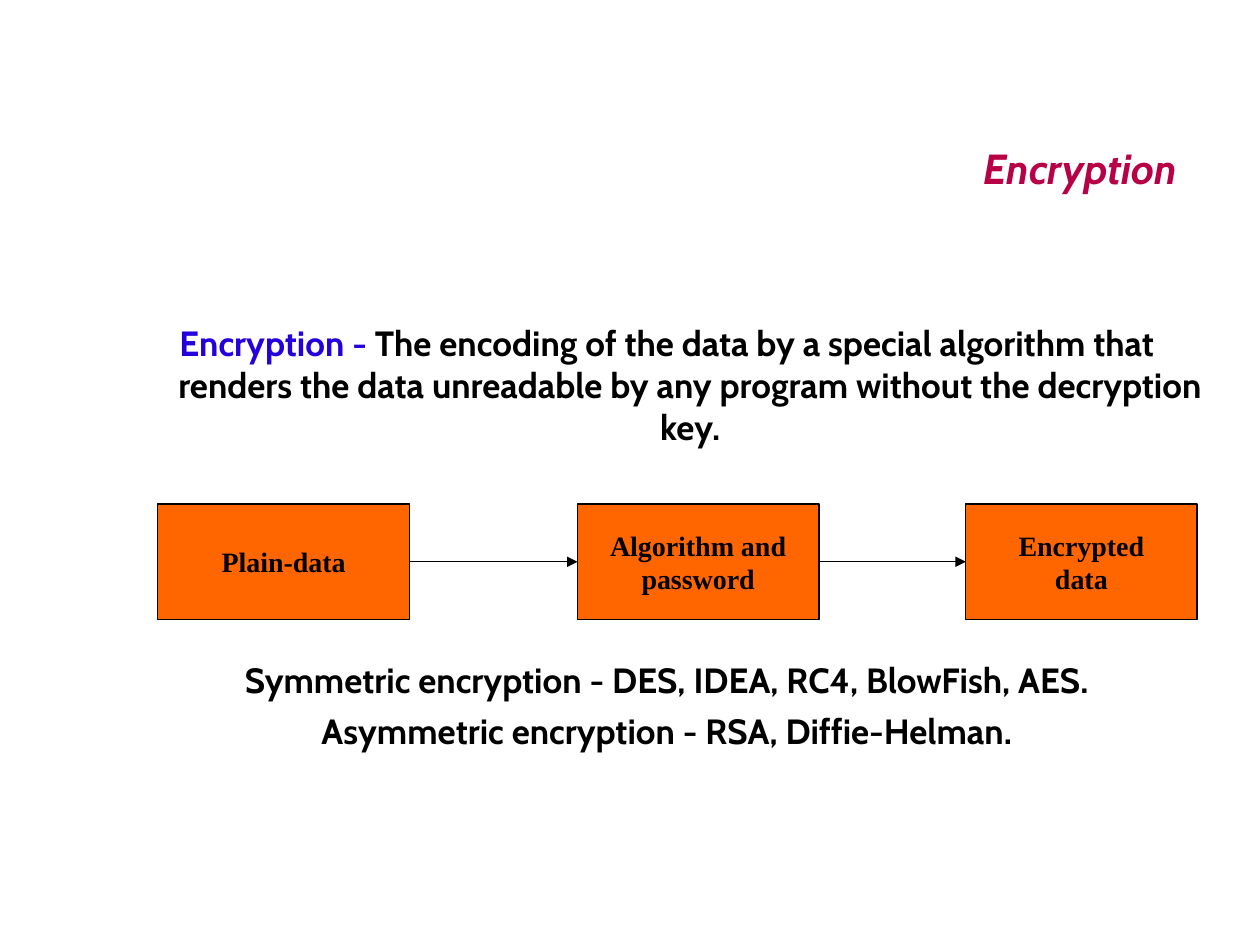
from pptx import Presentation
from pptx.dml.color import RGBColor
from pptx.enum.shapes import MSO_CONNECTOR as Connector, MSO_SHAPE as Shape
from pptx.enum.text import MSO_ANCHOR as Anchor, PP_ALIGN as Align
from pptx.oxml.ns import qn
from pptx.util import Cm, Pt
from lxml.etree import SubElement

BLACK = "000000"
BLUE = "2300DC"
CRIMSON = "B80047"
ORANGE = "FF6600"
WHITE = "FFFFFF"
HEAD_FONT = "Cabin"
STEP_FONT = "Times New Roman"
HANGING = Cm(0.94)
RIGHT_SIDE, LEFT_SIDE = 3, 1


def color(hex_code):
    return RGBColor.from_string(hex_code)


def add_run(paragraph, text, font_name, size, hex_code, italic=False):
    run = paragraph.add_run()
    run.text = text
    font = run.font
    font.name, font.size = font_name, Pt(size)
    font.bold, font.italic = True, italic
    font.color.rgb = color(hex_code)


def add_paragraph(frame, first, align):
    paragraph = frame.paragraphs[0] if first else frame.add_paragraph()
    paragraph.alignment = align
    return paragraph


def add_title(slide, text):
    title = slide.shapes.add_textbox(Cm(2.54), Cm(1.9), Cm(21.44), Cm(2.12))
    frame = title.text_frame
    frame.word_wrap = True
    frame.vertical_anchor = Anchor.BOTTOM
    add_run(add_paragraph(frame, True, Align.RIGHT), text, HEAD_FONT, 24, CRIMSON, italic=True)


def add_body(slide, paragraphs):
    """Centred text with a hanging indent; each paragraph is (space before, runs)."""
    body = slide.shapes.add_textbox(Cm(2.33), Cm(6.35), Cm(22.23), Cm(12.07))
    body.fill.solid()
    body.fill.fore_color.rgb = color(WHITE)
    frame = body.text_frame
    frame.word_wrap = True
    for index, (space_before, runs) in enumerate(paragraphs):
        paragraph = add_paragraph(frame, index == 0, Align.CENTER)
        paragraph.space_before = Pt(space_before)
        properties = paragraph._p.get_or_add_pPr()
        properties.set("marL", str(HANGING))
        properties.set("indent", str(-HANGING))
        for text, hex_code in runs:
            add_run(paragraph, text, HEAD_FONT, 20, hex_code)


def add_step(slide, left, width, lines):
    step = slide.shapes.add_shape(Shape.RECTANGLE, Cm(left), Cm(10.16), Cm(width), Cm(2.33))
    step.shadow.inherit = False
    step.fill.solid()
    step.fill.fore_color.rgb = color(ORANGE)
    step.line.color.rgb = color(BLACK)
    step.line.width = Pt(0.75)
    frame = step.text_frame
    frame.word_wrap = False
    frame.vertical_anchor = Anchor.MIDDLE
    for index, line in enumerate(lines):
        add_run(add_paragraph(frame, index == 0, Align.CENTER), line, STEP_FONT, 16, BLACK)
    return step


def add_arrow(slide, source, target):
    arrow = slide.shapes.add_connector(Connector.STRAIGHT, 0, 0, 0, 0)
    arrow.begin_connect(source, RIGHT_SIDE)
    arrow.end_connect(target, LEFT_SIDE)
    arrow.line.color.rgb = color(BLACK)
    arrow.line.width = Pt(0.75)
    SubElement(arrow.line._get_or_add_ln(), qn("a:tailEnd"), type="triangle")
    SubElement(arrow._element.spPr, qn("a:effectLst"))


def main():
    deck = Presentation()
    deck.slide_width, deck.slide_height = Cm(25.4), Cm(19.05)
    slide = deck.slides.add_slide(deck.slide_layouts[6])

    add_title(slide, "Encryption")
    definition = (
        " The encoding of the data by a special algorithm that renders "
        "the data unreadable by any program without the decryption key."
    )
    add_body(slide, [
        (0, [("Encryption -", BLUE), (definition, BLACK)]),
        (121, [("Symmetric encryption - DES, IDEA, RC4, BlowFish, AES.", BLACK)]),
        (5, [("Asymmetric encryption - RSA, Diffie-Helman.", BLACK)]),
    ])

    steps = [
        add_step(slide, left, width, lines)
        for left, width, lines in [
            (3.18, 5.08, ["Plain-data"]),
            (11.64, 4.87, ["Algorithm and", "password"]),
            (19.47, 4.66, ["Encrypted", "data"]),
        ]
    ]
    for source, target in zip(steps, steps[1:]):
        add_arrow(slide, source, target)

    deck.save("out.pptx")


if __name__ == "__main__":
    main()
